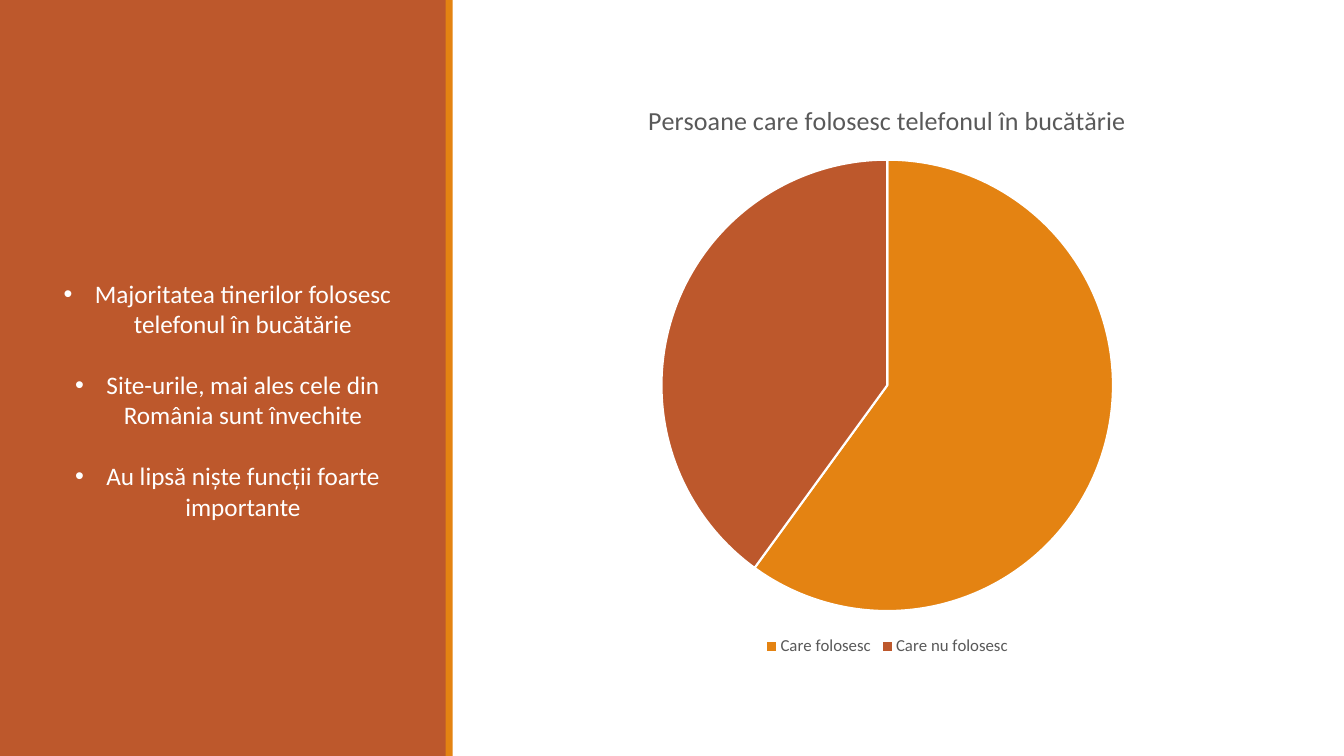
from lxml import etree
from pptx import Presentation
from pptx.chart.data import CategoryChartData
from pptx.dml.color import RGBColor
from pptx.enum.chart import XL_CHART_TYPE, XL_LEGEND_POSITION
from pptx.enum.shapes import MSO_SHAPE
from pptx.enum.text import MSO_ANCHOR, PP_ALIGN
from pptx.oxml.ns import qn
from pptx.util import Inches, Pt

PIE = XL_CHART_TYPE.PIE
BOTTOM = XL_LEGEND_POSITION.BOTTOM
RECTANGLE = MSO_SHAPE.RECTANGLE
TOP = MSO_ANCHOR.TOP
CENTER = PP_ALIGN.CENTER

RUST = RGBColor(0xBD, 0x58, 0x2C)
ORANGE = RGBColor(0xE4, 0x83, 0x12)
WHITE = RGBColor(0xFF, 0xFF, 0xFF)
GREY = RGBColor(0x59, 0x59, 0x59)
BLACK = RGBColor(0x00, 0x00, 0x00)
FONT = "Calibri"

SLIDE_WIDTH, SLIDE_HEIGHT = 13.33, 7.5
CHART_TITLE = "Persoane care folosesc telefonul în bucătărie"
USAGE = {"Care folosesc": (60, ORANGE), "Care nu folosesc": (40, RUST)}
FINDINGS = [
    "Majoritatea tinerilor folosesc telefonul în bucătărie",
    "Site-urile, mai ales cele din România sunt învechite",
    "Au lipsă niște funcții foarte importante",
]


def apply_format(target, values):
    for name, value in values.items():
        setattr(target, name, value)


def style_font(font, size, color):
    apply_format(font, {"name": FONT, "size": Pt(size), "bold": False})
    font.color.rgb = color


def add_band(slide, left, top, width, height, color):
    band = slide.shapes.add_shape(
        RECTANGLE, Inches(left), Inches(top), Inches(width), Inches(height))
    band.shadow.inherit = False
    band.fill.solid()
    band.fill.fore_color.rgb = color
    band.line.fill.background()


def add_bullet(paragraph, indent):
    properties = paragraph._p.get_or_add_pPr()
    properties.set("marL", str(Inches(indent)))
    properties.set("indent", str(Inches(-indent)))
    bullet_font = etree.SubElement(properties, qn("a:buFont"))
    bullet_font.set("typeface", "Arial")
    etree.SubElement(properties, qn("a:buChar")).set("char", "•")


def add_findings(slide, left, top, width, height):
    box = slide.shapes.add_textbox(
        Inches(left), Inches(top), Inches(width), Inches(height))
    frame = box.text_frame
    apply_format(frame, {"word_wrap": True, "vertical_anchor": TOP,
                         "margin_top": Inches(0.95)})
    for index, finding in enumerate(FINDINGS):
        paragraph = frame.paragraphs[0] if index == 0 else frame.add_paragraph()
        paragraph.alignment = CENTER
        if index:
            paragraph.space_before = Pt(22)
        add_bullet(paragraph, 0.31)
        run = paragraph.add_run()
        run.text = finding
        style_font(run.font, 18, WHITE)


def add_side_panel(slide, left, top, width, height):
    add_band(slide, left, top, width, height, RUST)
    add_band(slide, left + width - 0.01, top, 0.07, height, ORANGE)
    add_findings(slide, left + 0.28, top + 1.81, width - 0.48, 3.74)


def add_usage_chart(slide, left, top, width, height):
    usage_data = CategoryChartData()
    usage_data.categories = list(USAGE)
    usage_data.add_series(CHART_TITLE, [share for share, _ in USAGE.values()])
    chart = slide.shapes.add_chart(
        PIE, Inches(left), Inches(top), Inches(width), Inches(height),
        usage_data).chart
    style_font(chart.font, 10, BLACK)

    # Title
    chart.has_title = True
    title_frame = chart.chart_title.text_frame
    title_frame.text = CHART_TITLE
    style_font(title_frame.paragraphs[0].runs[0].font, 18.6, GREY)
    chart.chart_title.include_in_layout = False

    # Legend
    chart.has_legend = True
    apply_format(chart.legend, {"position": BOTTOM, "include_in_layout": False})
    style_font(chart.legend.font, 12, GREY)

    # Slices
    pie = chart.plots[0]
    pie.vary_by_categories = True
    for index, (_, color) in enumerate(USAGE.values()):
        slice_format = pie.series[0].points[index].format
        slice_format.fill.solid()
        slice_format.fill.fore_color.rgb = color
        slice_format.line.color.rgb = WHITE
        slice_format.line.width = Pt(1.5)


def main():
    deck = Presentation()
    deck.slide_width = Inches(SLIDE_WIDTH)
    deck.slide_height = Inches(SLIDE_HEIGHT)
    slide = deck.slides.add_slide(deck.slide_layouts[6])
    add_side_panel(slide, 0, 0, 4.43, SLIDE_HEIGHT)
    add_usage_chart(slide, 5.25, 0.8, 7.1, 5.75)
    deck.save("out.pptx")


if __name__ == "__main__":
    main()
